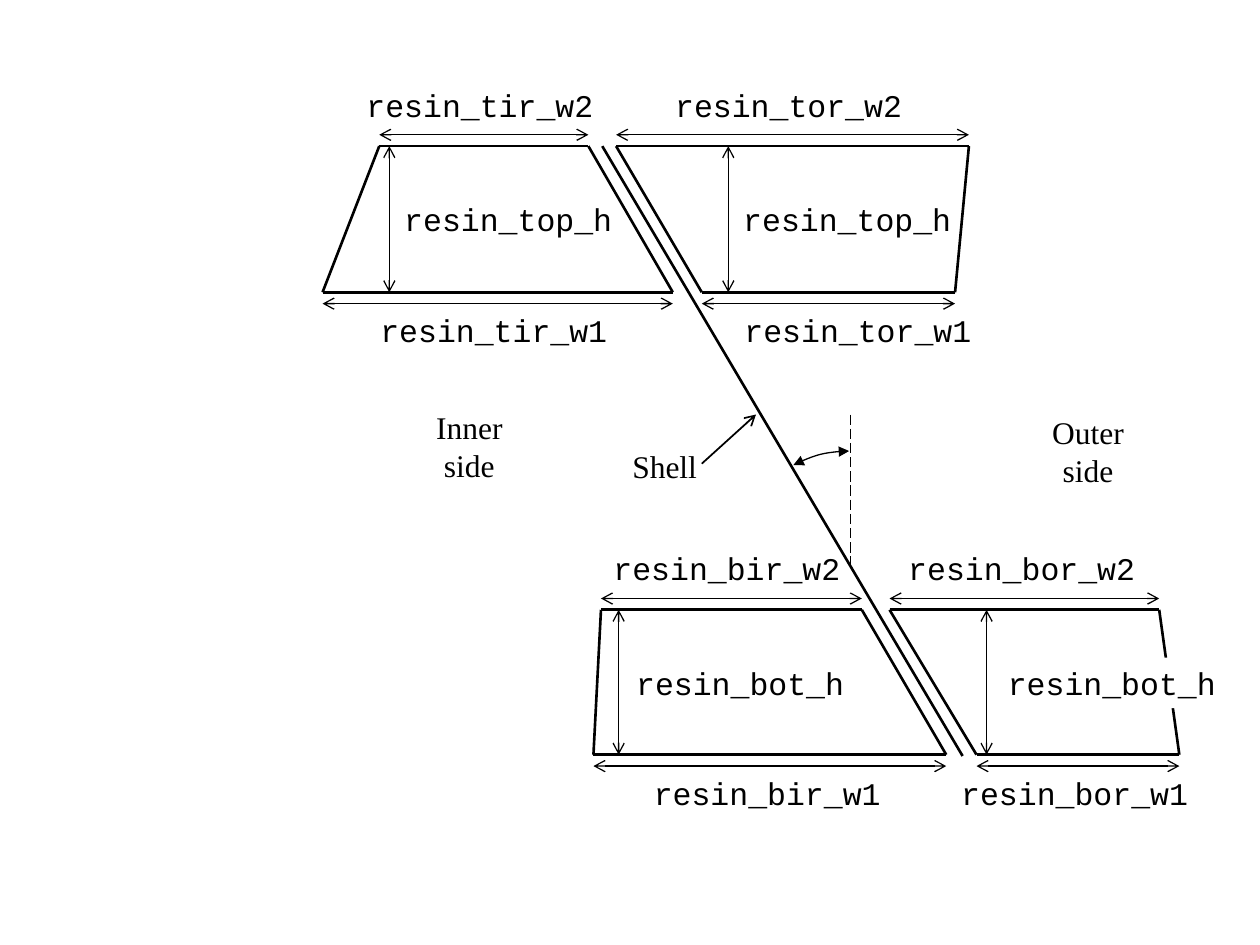
from lxml import etree
from pptx import Presentation
from pptx import util as u
from pptx.dml.color import RGBColor
from pptx.enum import dml, shapes, text
from pptx.oxml.ns import qn

BLACK = "000000"
WHITE = "FFFFFF"


def color(hex_value):
    return RGBColor.from_string(hex_value)


def add_heads(shape, **ends):
    line = shape.line._get_or_add_ln()
    for end, kind in ends.items():
        etree.SubElement(line, qn(f"a:{end}End"), type=kind)


def stroke(slide, start, end, width=1.5, **ends):
    points = [u.Inches(value) for value in (*start, *end)]
    line = slide.shapes.add_connector(shapes.MSO_CONNECTOR.STRAIGHT, *points)
    line.line.color.rgb = color(BLACK)
    line.line.width = u.Pt(width)
    add_heads(line, **ends)
    etree.SubElement(line._element.spPr, qn("a:effectLst"))
    return line


def dimension(slide, start, end):
    stroke(slide, start, end, 0.75, head="arrow", tail="arrow")


def label(slide, box, wording, font="Courier New", centered=False, fill=None):
    area = slide.shapes.add_textbox(*map(u.Inches, box))
    if fill:
        area.fill.solid()
        area.fill.fore_color.rgb = color(fill)
    frame = area.text_frame
    frame.word_wrap = True
    frame.text = wording
    paragraph = frame.paragraphs[0]
    paragraph.font.size = u.Pt(18)
    paragraph.font.name = font
    paragraph.font.color.rgb = color(BLACK)
    if centered:
        frame.vertical_anchor = text.MSO_ANCHOR.MIDDLE
        paragraph.alignment = text.PP_ALIGN.CENTER


def resin(slide, box, name, height_name, upper, lower, height_x, label_x, fill=None):
    left, top, width, height = box
    bottom = top + height
    upper_left, upper_right = [(left + x, top) for x in upper]
    lower_left, lower_right = [(left + x, bottom) for x in lower]
    corners = [upper_left, upper_right, lower_right, lower_left]
    for start, end in zip(corners, corners[1:] + corners[:1]):
        stroke(slide, start, end)

    dimension(slide, (left + height_x, top), (left + height_x, bottom))
    for (start, end), y in ((upper, top - 0.09), (lower, bottom + 0.09)):
        dimension(slide, (left + start, y), (left + end, y))

    upper_x, middle_x, lower_x = label_x
    label(slide, (left + upper_x, top - 0.53, 2.05, 0.4), f"{name}_w2")
    label(slide, (left + middle_x, top + 0.38, 1.89, 0.4), height_name, fill=fill)
    label(slide, (left + lower_x, bottom + 0.1, 2.05, 0.4), f"{name}_w1")


def shell(slide, box):
    left, top, width, height = box
    stroke(slide, (left, top), (left + width, top + height))

    axis_x, axis_bottom = left + 1.97, top + 3.33
    axis = stroke(slide, (axis_x, top + 2.13), (axis_x, axis_bottom), 0.75)
    axis.line.dash_style = dml.MSO_LINE.LONG_DASH

    radius_x, radius_y = 0.945, 0.91
    arc_box = (axis_x - radius_x, axis_bottom - radius_y, 2 * radius_x, 2 * radius_y)
    angle = slide.shapes.add_shape(shapes.MSO_SHAPE.ARC, *map(u.Inches, arc_box))
    angle.adjustments[0] = 144.26
    angle.adjustments[1] = 161.59
    angle.shadow.inherit = False
    angle.fill.background()
    angle.line.color.rgb = color(BLACK)
    angle.line.width = u.Pt(0.75)
    add_heads(angle, head="triangle", tail="triangle")

    label(slide, (left - 0.05, top + 2.13, 1.09, 0.82), "Shell",
          "Times New Roman", True, WHITE)
    stroke(slide, (left + 0.79, top + 2.52), (left + 1.22, top + 2.13), 1, tail="arrow")


def main():
    deck = Presentation()
    deck.slide_width, deck.slide_height = u.Inches(10), u.Inches(7.5)
    slide = deck.slides.add_slide(deck.slide_layouts[6])

    shell(slide, (4.78, 1.16, 2.86, 4.84))
    resin(slide, (4.89, 1.16, 2.8, 1.16), "resin_tor", "resin_top_h",
          (0, 2.8), (0.68, 2.69), 0.89, (0.37, 0.91, 0.92))
    resin(slide, (7.06, 4.84, 2.3, 1.15), "resin_bor", "resin_bot_h",
          (0, 2.14), (0.69, 2.3), 0.77, (0.05, 0.84, 0.47), WHITE)
    resin(slide, (2.56, 1.16, 2.78, 1.16), "resin_tir", "resin_top_h",
          (0.45, 2.11), (0, 2.78), 0.53, (0.25, 0.55, 0.36))
    resin(slide, (4.71, 4.84, 2.8, 1.15), "resin_bir", "resin_bot_h",
          (0.06, 2.13), (0, 2.8), 0.2, (0.06, 0.24, 0.38))
    for side, left, top in (("Inner side", 3.22, 3.19), ("Outer side", 8.13, 3.23)):
        label(slide, (left, top, 1.01, 0.7), side, "Times New Roman", True)

    deck.save("out.pptx")


if __name__ == "__main__":
    main()
